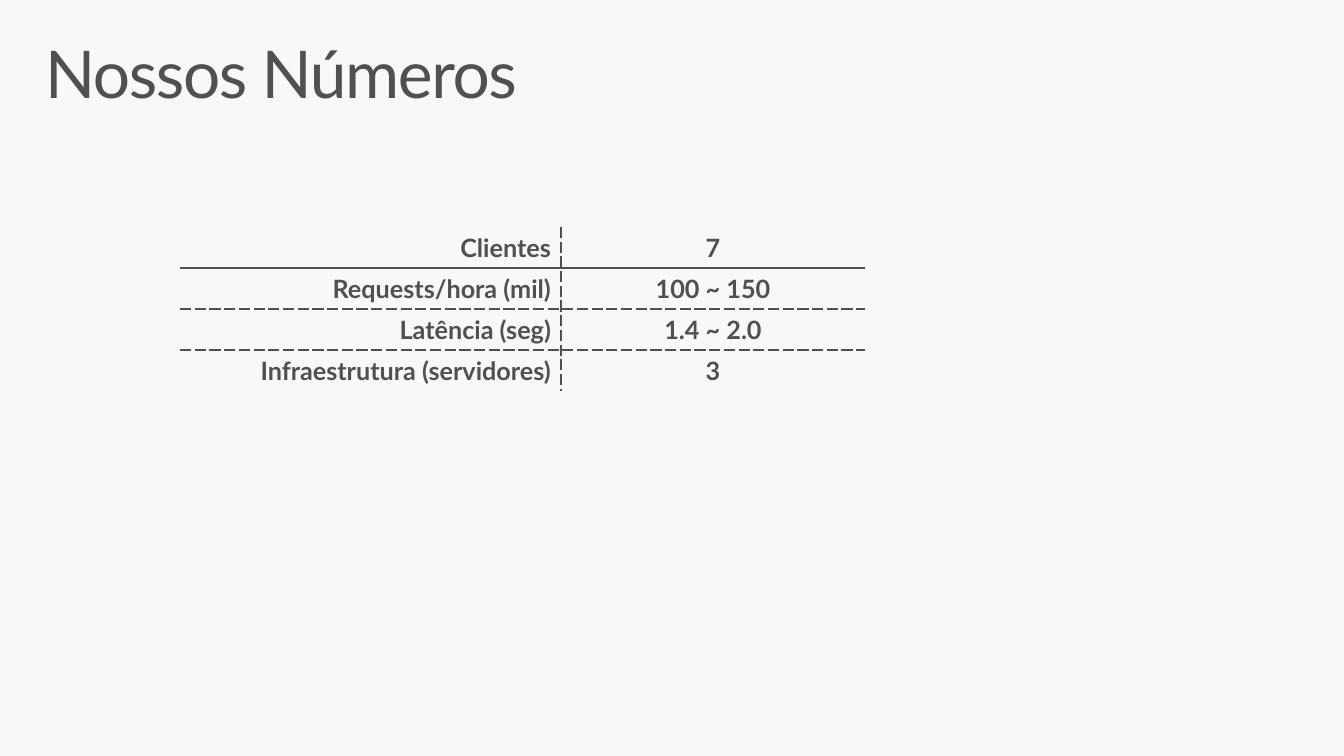
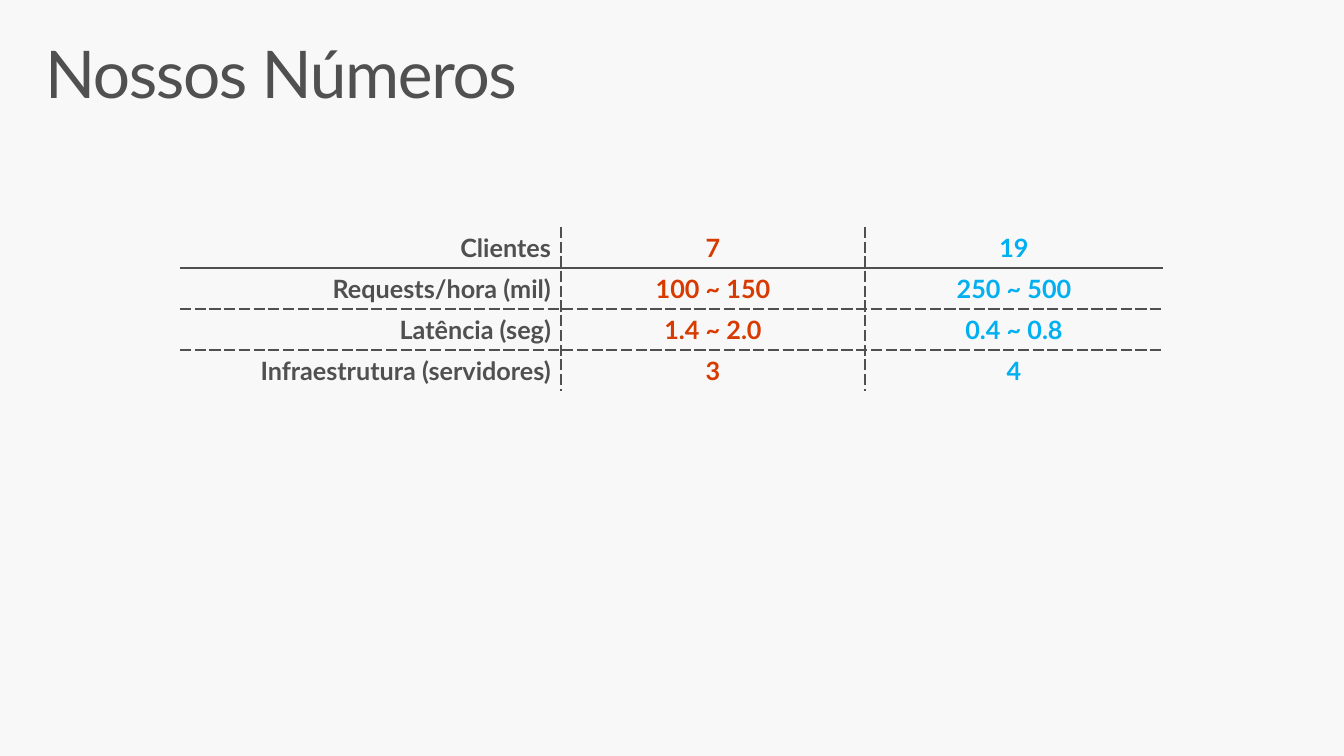
"""Build two slides that compare service numbers in bordered tables."""
from dataclasses import dataclass

from lxml.etree import SubElement
from pptx import Presentation
from pptx.dml.color import RGBColor
from pptx.enum.text import MSO_ANCHOR as Anchor, PP_ALIGN as Align
from pptx.oxml.ns import qn
from pptx.util import Emu, Pt


@dataclass(frozen=True)
class Theme:
    font: str = "Lato"
    background: str = "F8F8F8"
    ink: str = "505050"
    before: str = "D83B01"
    after: str = "00B0F0"
    title_size: int = 47
    table_size: int = 18
    heavy_rule: float = 2.25
    light_rule: float = 1
    table_style: str = "{2D5ABB26-0587-4C30-8999-92F81FD0307C}"


theme = Theme()
TITLE = "Nossos Números"
LABELS = ["Clientes", "Requests/hora (mil)", "Latência (seg)", "Infraestrutura (servidores)"]
BEFORE = ["7", "100 ~ 150", "1.4 ~ 2.0", "3"]
AFTER = ["19", "250 ~ 500", "0.4 ~ 0.8", "4"]
COLUMN_WIDTHS = [381, 304, 298]
ROW_HEIGHT = 41
SLIDES = [
    [(LABELS, theme.ink), (BEFORE, theme.ink)],
    [(LABELS, theme.ink), (BEFORE, theme.before), (AFTER, theme.after)],
]


def px(length):
    return Emu(round(length * 914400 / 100.8))


def add_border(cell, side, width, dash):
    line = SubElement(cell._tc.get_or_add_tcPr(), qn(f"a:ln{side}"), w=str(Pt(width)))
    fill = SubElement(line, qn("a:solidFill"))
    SubElement(fill, qn("a:srgbClr"), val=theme.ink)
    SubElement(line, qn("a:prstDash"), val=dash)


prs = Presentation()
prs.slide_width, prs.slide_height = px(1344), px(756)
backdrop = prs.slide_master.background.fill
backdrop.solid()
backdrop.fore_color.rgb = RGBColor.from_string(theme.background)

light = (theme.light_rule, "sysDash")
heavy = (theme.heavy_rule, "solid")
row_rules = [heavy, light, light]

for columns in SLIDES:
    slide = prs.slides.add_slide(prs.slide_layouts[5])

    title = slide.shapes.title
    title.left, title.top, title.width, title.height = px(29), px(32), px(1285), px(99)
    frame = title.text_frame
    frame.text = TITLE
    frame.word_wrap = True
    frame.vertical_anchor = Anchor.TOP
    frame.margin_left = frame.margin_right = px(16)
    frame.margin_top = frame.margin_bottom = px(10)
    heading = frame.paragraphs[0]
    heading.alignment = Align.LEFT
    heading.line_spacing = 0.9
    heading.font.name = theme.font
    heading.font.size = Pt(theme.title_size)
    heading.font.color.rgb = RGBColor.from_string(theme.ink)
    heading.runs[0].font._element.set("spc", "-100")

    widths = COLUMN_WIDTHS[:len(columns)]
    numbers = slide.shapes.add_table(
        len(LABELS), len(columns), px(180), px(227),
        px(sum(widths)), px(ROW_HEIGHT * len(LABELS))).table
    numbers.first_row = numbers.horz_banding = False
    numbers._tbl.tblPr.find(qn("a:tableStyleId")).text = theme.table_style
    for row in numbers.rows:
        row.height = px(ROW_HEIGHT)

    for c, (values, color) in enumerate(columns):
        numbers.columns[c].width = px(widths[c])
        for r, value in enumerate(values):
            cell = numbers.cell(r, c)
            cell.text = value
            cell.vertical_anchor = Anchor.MIDDLE
            entry = cell.text_frame.paragraphs[0]
            entry.alignment = Align.CENTER if c else Align.RIGHT
            entry.font.name = theme.font
            entry.font.size = Pt(theme.table_size)
            entry.font.bold = True
            entry.font.color.rgb = RGBColor.from_string(color)
            if c > 0:
                add_border(cell, "L", *light)
            if c < len(columns) - 1:
                add_border(cell, "R", *light)
            if r > 0:
                add_border(cell, "T", *row_rules[r - 1])
            if r < len(values) - 1:
                add_border(cell, "B", *row_rules[r])
            cell.fill.background()

prs.save("out.pptx")
